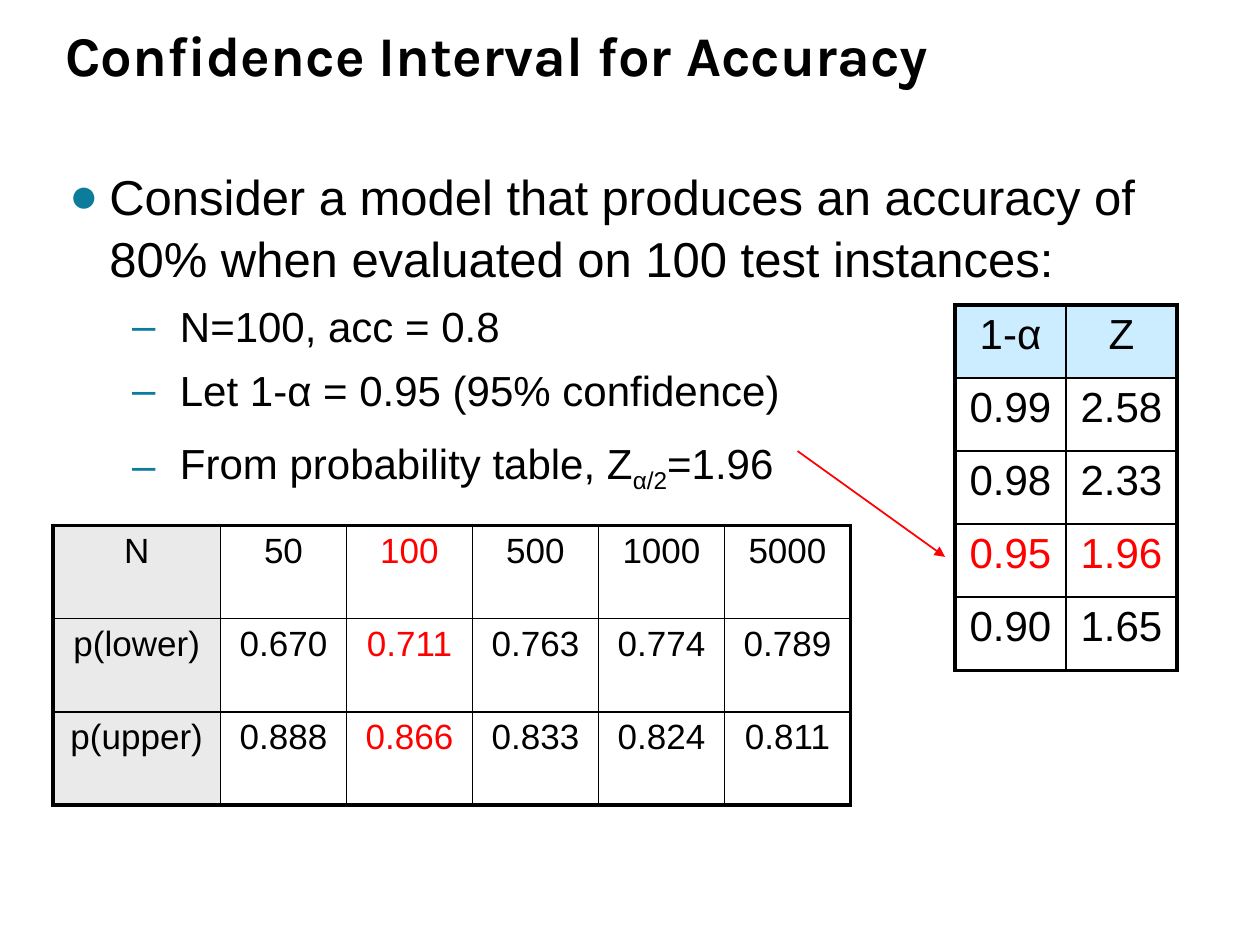
from lxml import etree
from pptx import Presentation
from pptx.dml.color import RGBColor
from pptx.enum.shapes import MSO_CONNECTOR
from pptx.enum.text import MSO_ANCHOR, MSO_AUTO_SIZE, PP_ALIGN
from pptx.oxml.ns import qn
from pptx.util import Inches, Pt

BLACK, RED, TEAL = "000000", "FF0000", "0C7B9C"
THIN, THICK = Pt(1), Pt(2.25)

Z_ROWS = [
    ["1-α", "Z"],
    ["0.99", "2.58"],
    ["0.98", "2.33"],
    ["0.95", "1.96"],
    ["0.90", "1.65"],
]
BOUND_ROWS = [
    ["N", "50", "100", "500", "1000", "5000"],
    ["p(lower)", "0.670", "0.711", "0.763", "0.774", "0.789"],
    ["p(upper)", "0.888", "0.866", "0.833", "0.824", "0.811"],
]


def rgb(color):
    return RGBColor.from_string(color)


def add_text(p, text, size=24, font="Arial", color=BLACK, bold=False, baseline=None):
    r = p.add_run()
    r.text = text
    f = r.font
    f.size, f.name, f.bold = Pt(size), font, bold
    f.color.rgb = rgb(color)
    if baseline is not None:
        f._element.set("baseline", str(baseline * 1000))


def place(s, left, top, width, height):
    s.left, s.top = Inches(left), Inches(top)
    s.width, s.height = Inches(width), Inches(height)


def add_title(slide, text):
    s = slide.shapes.title
    place(s, 0.42, 0.17, 9.06, 0.58)
    tf = s.text_frame
    tf.vertical_anchor = MSO_ANCHOR.BOTTOM
    tf.auto_size = MSO_AUTO_SIZE.NONE
    p = tf.paragraphs[0]
    p.alignment, p.line_spacing = PP_ALIGN.LEFT, 1.12
    add_text(p, text, size=32, font="Karla", bold=True)


def set_bullet(p, char, margin, hanging):
    pPr = p._p.get_or_add_pPr()
    pPr.set("marL", str(Inches(margin)))
    pPr.set("indent", str(-Inches(hanging)))
    color = etree.SubElement(pPr, qn("a:buClr"))
    etree.SubElement(color, qn("a:srgbClr"), val=TEAL)
    etree.SubElement(pPr, qn("a:buFont"), typeface="Arial")
    etree.SubElement(pPr, qn("a:buChar"), char=char)


def add_sub_bullet(tf, text, before=6.4):
    p = tf.add_paragraph()
    p.level = 1
    set_bullet(p, "–", 0.88, 0.38)
    p.space_before, p.line_spacing = Pt(before), 1.05
    add_text(p, text)
    return p


def add_body(slide):
    s = slide.shapes.add_textbox(Inches(0.45), Inches(1.25), Inches(9.1), Inches(5.67))
    tf = s.text_frame
    tf.word_wrap = True
    p = tf.paragraphs[0]
    set_bullet(p, "●", 0.32, 0.32)
    p.line_spacing = 1.05
    add_text(p, "Consider a model that produces an accuracy of 80% "
                "when evaluated on 100 test instances:", size=28)
    add_sub_bullet(tf, "N=100, acc = 0.8")
    add_sub_bullet(tf, "Let 1-α = 0.95 (95% confidence)")
    p = add_sub_bullet(tf, "From probability table, Z", before=11)
    add_text(p, "α/2", baseline=-25)
    add_text(p, "=1.96")


def set_borders(cell, widths):
    tcPr = cell._tc.get_or_add_tcPr()
    for side, width in zip("LRTB", widths):
        ln = etree.SubElement(tcPr, qn(f"a:ln{side}"), w=str(width))
        fill = etree.SubElement(ln, qn("a:solidFill"))
        etree.SubElement(fill, qn("a:srgbClr"), val=BLACK)


def add_grid(slide, rows, left, top, col_widths, row_height, size, shade,
             is_header, is_marked):
    """Table with a thick frame, thin inner rules, shaded headers and red marks."""
    n_rows, n_cols = len(rows), len(col_widths)
    table = slide.shapes.add_table(
        n_rows, n_cols, Inches(left), Inches(top),
        Inches(sum(col_widths)), Inches(row_height * n_rows)).table
    table.first_row = table.horz_banding = False
    for column, width in zip(table.columns, col_widths):
        column.width = Inches(width)
    for i, row in enumerate(rows):
        table.rows[i].height = Inches(row_height)
        for j, text in enumerate(row):
            cell = table.cell(i, j)
            outer = (j == 0, j == n_cols - 1, i == 0, i == n_rows - 1)
            set_borders(cell, [THICK if edge else THIN for edge in outer])
            if is_header(i, j):
                cell.fill.solid()
                cell.fill.fore_color.rgb = rgb(shade)
            else:
                cell.fill.background()
            p = cell.text_frame.paragraphs[0]
            p.alignment = PP_ALIGN.CENTER
            add_text(p, text, size=size, color=RED if is_marked(i, j) else BLACK)


def add_arrow(slide, x1, y1, x2, y2):
    s = slide.shapes.add_connector(
        MSO_CONNECTOR.STRAIGHT, Inches(x1), Inches(y1), Inches(x2), Inches(y2))
    s.line.color.rgb = rgb(RED)
    s.line.width = THIN
    etree.SubElement(s.line._get_or_add_ln(), qn("a:tailEnd"), type="triangle")
    etree.SubElement(s._element.spPr, qn("a:effectLst"))


def main():
    prs = Presentation()
    prs.slide_width, prs.slide_height = Inches(10), Inches(7.5)
    slide = prs.slides.add_slide(prs.slide_layouts[5])

    add_title(slide, "Confidence Interval for Accuracy")
    add_body(slide)

    # Z values, with the 95% row marked
    add_grid(slide, Z_ROWS, 7.58, 2.42, [0.88] * 2, 0.58, 24, "CCECFF",
             is_header=lambda i, j: i == 0, is_marked=lambda i, j: i == 3)
    add_arrow(slide, 6.33, 3.58, 7.5, 4.42)

    # Interval bounds by sample size, with N=100 marked
    add_grid(slide, BOUND_ROWS, 0.42, 4.17, [1.33] + [1] * 5, 0.74, 20, "EAEAEA",
             is_header=lambda i, j: j == 0, is_marked=lambda i, j: j == 2)

    prs.save("out.pptx")


if __name__ == "__main__":
    main()
